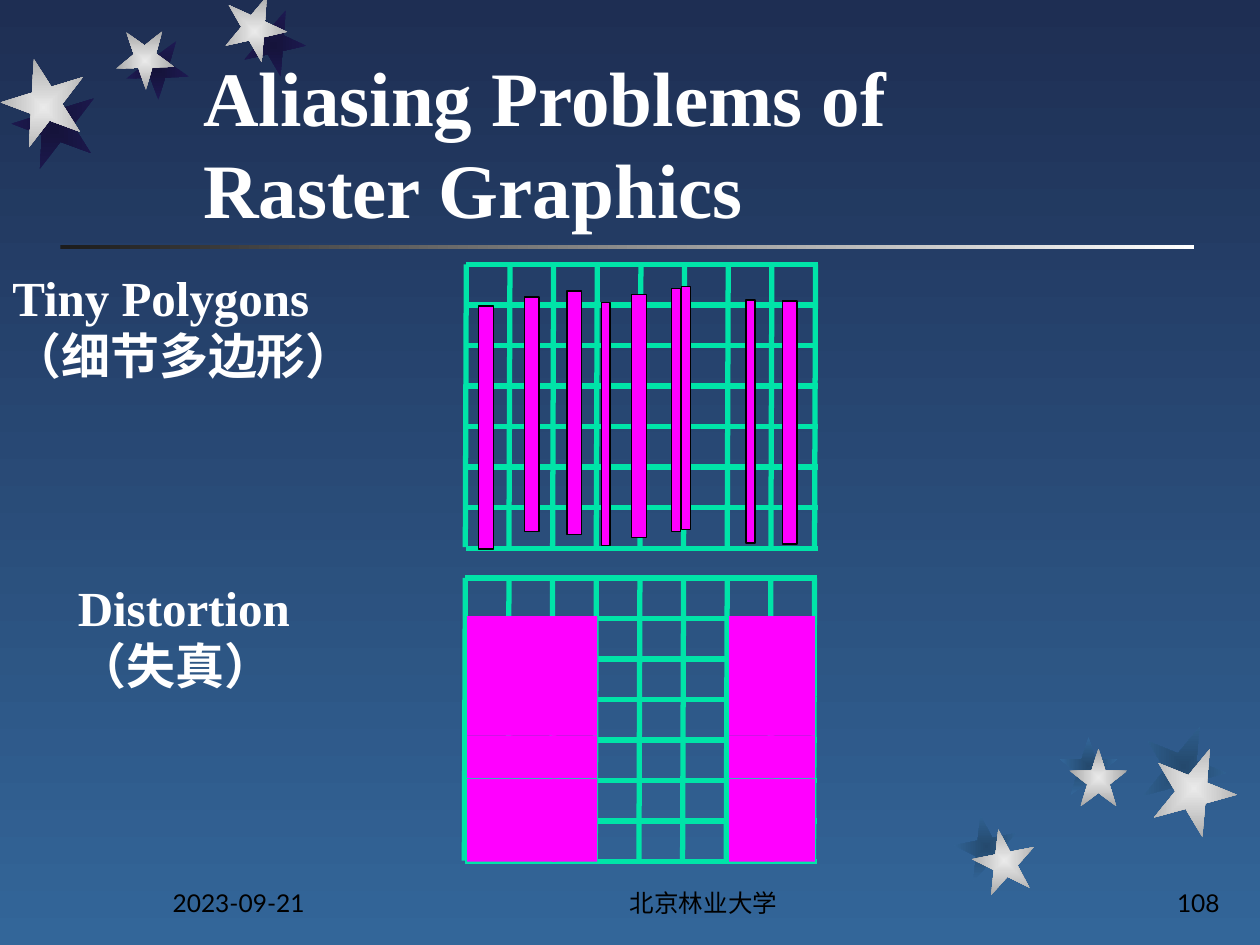
from lxml.etree import SubElement
from pptx import Presentation
from pptx.dml.color import RGBColor
from pptx.enum.shapes import MSO_CONNECTOR, MSO_SHAPE
from pptx.enum.text import MSO_ANCHOR, MSO_AUTO_SIZE, PP_ALIGN
from pptx.oxml.ns import qn
from pptx.util import Cm, Pt

HUES = {
    "top": "1E2E53", "base": "336699", "ink": "1C1C1C", "white": "FFFFFF",
    "night": "15133B", "dusk": "1E1A53", "sea": "24496D",
    "light": "EAEAEA", "grey": "A7A7A7",
    "mesh": "00E4A8", "pink": "FF00FF", "black": "000000",
}
SERIF, SANS = "Times New Roman", "Lato"

# Stars: left, top, width, height, turn; all lengths in cm
STARS = [
    ("night", "dusk", [(4.88, 0.28, 1.27, 1.27, 167.3),
                       (2.54, 0.84, 1.27, 1.17, 178.3),
                       (0.25, 1.75, 1.7, 1.7, 200.3)]),
    ("light", "grey", [(4.5, 0, 1.27, 1.27, 167.3),
                       (2.34, 0.64, 1.17, 1.17, 178.3),
                       (0.03, 1.32, 1.7, 1.7, 200.3)]),
    ("sea", "base", [(19.25, 16.43, 1.27, 1.27, 349),
                     (21.36, 14.86, 1.17, 1.17, 0),
                     (23.01, 14.6, 1.7, 1.7, 22)]),
    ("light", "grey", [(19.61, 16.71, 1.27, 1.27, 349),
                       (21.56, 15.09, 1.17, 1.17, 0),
                       (23.22, 15.04, 1.7, 1.7, 22)]),
]
# Thin polygons: left, top, width, height
BARS = [
    (9.65, 6.17, 0.3, 4.9), (10.57, 5.99, 0.3, 4.72), (11.43, 5.87, 0.3, 4.9),
    (12.73, 5.94, 0.3, 4.9), (13.54, 5.82, 0.18, 4.9), (15.77, 6.07, 0.3, 4.9),
    (12.12, 6.1, 0.18, 4.9), (13.74, 5.77, 0.18, 4.9), (15.04, 6.05, 0.18, 4.9),
]
# Filled pixels
COLS = [9.42, 10.31, 11.13, 14.7, 15.52]
ROWS = [12.42, 13.23, 13.97, 14.83, 15.7, 16.51]


def hue(name):
    return RGBColor.from_string(HUES[name])


def blend(fill, start, end, angle=0):
    fill.gradient()
    fill.gradient_angle = angle
    for stop, name in zip(fill.gradient_stops, (start, end)):
        stop.color.rgb = hue(name)


def add_shape(slide, kind, box):
    shape = slide.shapes.add_shape(kind, *map(Cm, box))
    shape.shadow.inherit = False
    shape.line.fill.background()
    return shape


def add_star(slide, box, turn, start, end):
    star = add_shape(slide, MSO_SHAPE.STAR_5_POINT, box)
    star.rotation = turn
    blend(star.fill, start, end)
    # Let the colours run outwards from the centre
    grad = star.fill._xPr.find(qn("a:gradFill"))
    grad.remove(grad.find(qn("a:lin")))
    ring = SubElement(grad, qn("a:path"), path="shape")
    SubElement(ring, qn("a:fillToRect"), l="50000", t="50000", r="50000", b="50000")


def add_block(slide, box, edge=False):
    block = add_shape(slide, MSO_SHAPE.RECTANGLE, box)
    block.fill.solid()
    block.fill.fore_color.rgb = hue("pink")
    if edge:
        block.line.color.rgb = hue("black")
        block.line.width = Pt(0.75)


def add_mesh(slide, left, top):
    width, height, slant = 7.08, 5.72, 0.02
    group = slide.shapes.add_group_shape()
    ends = []
    for col in range(9):
        x = left + col * 0.88
        ends.append((x, top, x - slant, top + height - slant))
    for row in range(8):
        y = top + row * height / 7
        ends.append((left, y, left + width, y))
    for spot in ends:
        line = group.shapes.add_connector(MSO_CONNECTOR.STRAIGHT, *map(Cm, spot))
        line.line.color.rgb = hue("mesh")
        line.line.width = Pt(3)
        SubElement(line._element.spPr, qn("a:effectLst"))


def style(frame, size, font, color, bold=False, align=PP_ALIGN.LEFT):
    frame.word_wrap = True
    frame.auto_size = MSO_AUTO_SIZE.NONE
    for para in frame.paragraphs:
        para.alignment = align
        for run in para.runs:
            run.font.size = Pt(size)
            run.font.name = font
            run.font.bold = bold
            run.font.color.rgb = hue(color)


def add_title(slide, text, box):
    title = slide.shapes.title
    title.left, title.top, title.width, title.height = map(Cm, box)
    frame = title.text_frame
    frame.text = text
    frame.vertical_anchor = MSO_ANCHOR.BOTTOM
    style(frame, 44, SERIF, "white", bold=True)


def add_label(slide, text, box):
    frame = slide.shapes.add_textbox(*map(Cm, box)).text_frame
    frame.text = text
    style(frame, 28, SERIF, "white", bold=True)


def add_foot(slide, text, left, width, align):
    box = slide.shapes.add_textbox(Cm(left), Cm(17.35), Cm(width), Cm(1.27))
    frame = box.text_frame
    frame.text = text
    frame.vertical_anchor = MSO_ANCHOR.BOTTOM
    style(frame, 14, SANS, "black", align=align)


def main():
    deck = Presentation()
    deck.slide_width, deck.slide_height = Cm(25.4), Cm(19.05)
    slide = deck.slides.add_slide(deck.slide_layouts[5])

    # Backdrop
    blend(slide.background.fill, "top", "base", 270)
    rule = add_shape(slide, MSO_SHAPE.RECTANGLE, (1.22, 4.94, 22.86, 0.09))
    blend(rule.fill, "ink", "white")
    for start, end, stars in STARS:
        for *box, turn in stars:
            add_star(slide, box, turn, start, end)

    # Footer and title
    add_foot(slide, "2023-09-21", 3.23, 5.28, PP_ALIGN.LEFT)
    add_foot(slide, "北京林业大学", 10.16, 8.05, PP_ALIGN.CENTER)
    add_foot(slide, "108", 19.56, 5.28, PP_ALIGN.RIGHT)
    add_title(slide, "Aliasing Problems of Raster Graphics", (3.84, 1.85, 16.97, 3))

    # Tiny polygons on the upper mesh
    add_mesh(slide, 9.4, 5.33)
    for bar in BARS:
        add_block(slide, bar, edge=True)
    add_label(slide, "Tiny Polygons\n（细节多边形）", (0, 5.26, 8.74, 2.82))

    # Distorted pixels on the lower mesh
    add_mesh(slide, 9.38, 11.65)
    for y in ROWS:
        for x in COLS:
            add_block(slide, (x, y, 0.91, 0.86))
    add_label(slide, "Distortion\n（失真）", (1.32, 11.51, 8.18, 1.27))

    deck.save("out.pptx")


if __name__ == "__main__":
    main()
